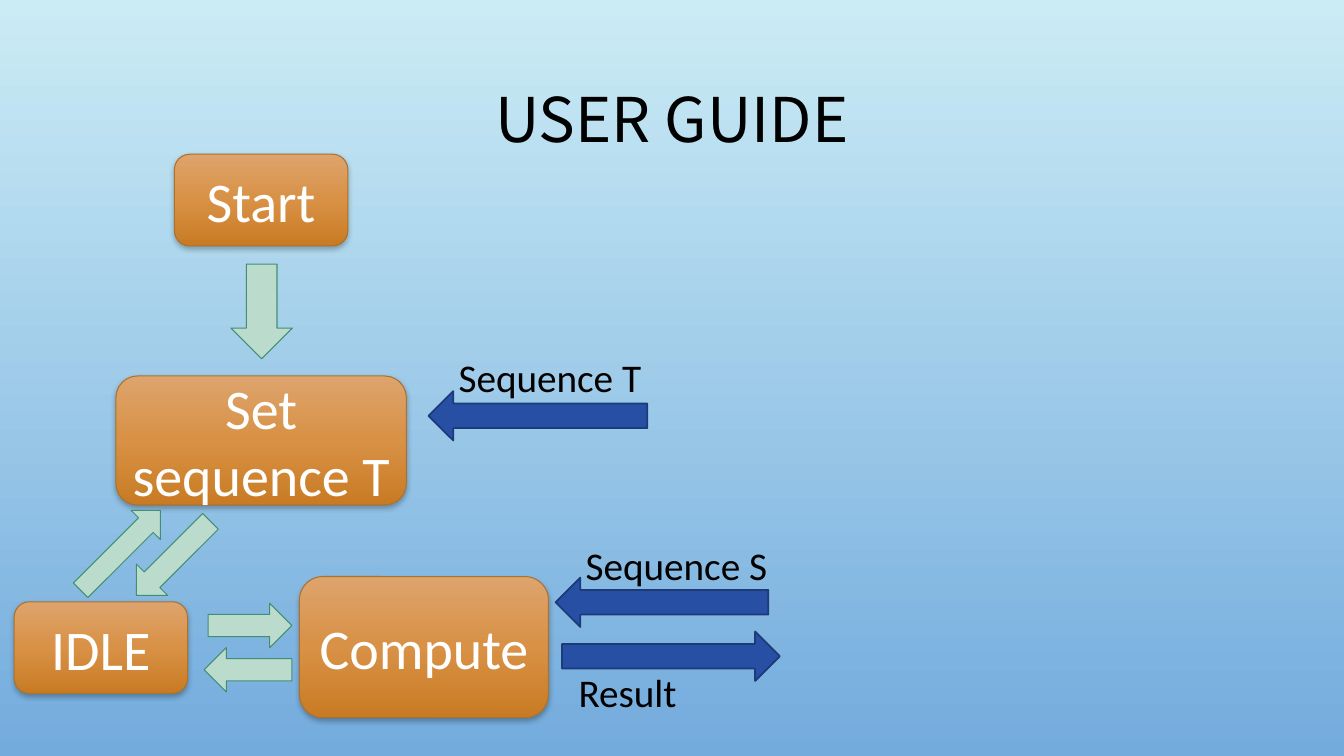
from copy import deepcopy

from lxml import etree
from pptx import Presentation
from pptx import util as u
from pptx.dml.color import RGBColor
from pptx.enum import shapes, text
from pptx.oxml import ns

COLORS = {
    "sky_top": "CBECF5", "sky_bottom": "73ABDD",
    "box_top": "DEA46D", "box_middle": "D89145", "box_bottom": "C87B23", "box_line": "AC712D",
    "step": "BBDBCD", "step_line": "428E73",
    "data": "274FA4", "data_line": "1D3A79",
    "black": "000000", "white": "FFFFFF",
}


def color_stops(fill, stops):
    """Set a top-to-bottom gradient from (position, color name) pairs."""
    fill.gradient_angle = 270
    for stop, (position, name) in zip(fill.gradient_stops, stops):
        stop.position = position
        stop.color.rgb = RGBColor.from_string(COLORS[name])


def write(paragraph, words, size, font, color):
    run = paragraph.add_run()
    run.text = words
    run.font.size = u.Pt(size)
    run.font.name = font
    run.font.color.rgb = RGBColor.from_string(COLORS[color])


presentation = Presentation()
presentation.slide_width = u.Inches(13.33)
presentation.slide_height = u.Inches(7.5)
slide = presentation.slides.add_slide(presentation.slide_layouts[5])

background = slide.background.fill
background.gradient()
color_stops(background, [(0, "sky_top"), (1, "sky_bottom")])

title = slide.shapes.title
title.left, title.top = u.Inches(1), u.Inches(0.68)
title.width, title.height = u.Inches(11.33), u.Inches(1.07)
title.text_frame.vertical_anchor = text.MSO_ANCHOR.MIDDLE
paragraph = title.text_frame.paragraphs[0]
paragraph.alignment = text.PP_ALIGN.CENTER
paragraph.line_spacing = 0.9
write(paragraph, "USER GUIDE", 44, "Noto Sans CJK SC", "black")

# State boxes: label, left, top, width, height
states = [
    ("Start", 1.73, 1.53, 1.72, 0.91),
    ("Set sequence T", 1.15, 3.73, 2.88, 1.28),
    ("IDLE", 0.14, 5.97, 1.72, 0.91),
    ("Compute", 2.97, 5.72, 2.47, 1.4),
]
for label, *box in states:
    shape = slide.shapes.add_shape(shapes.MSO_SHAPE.ROUNDED_RECTANGLE, *map(u.Inches, box))
    shape.fill.gradient()
    properties = shape._element.spPr
    stop_list = properties.find(".//" + ns.qn("a:gsLst"))
    stop_list.insert(1, deepcopy(stop_list[0]))
    color_stops(shape.fill, [(0, "box_top"), (0.5, "box_middle"), (1, "box_bottom")])
    shape.line.color.rgb = RGBColor.from_string(COLORS["box_line"])
    shape.line.width = u.Pt(0.75)

    shape.shadow.inherit = False
    shadow = etree.SubElement(
        properties.find(ns.qn("a:effectLst")), ns.qn("a:outerShdw"),
        blurRad=str(u.Pt(4)), dist=str(u.Pt(2)), dir="5400000", rotWithShape="0")
    shadow_color = etree.SubElement(shadow, ns.qn("a:srgbClr"), val=COLORS["black"])
    etree.SubElement(shadow_color, ns.qn("a:alpha"), val="28000")

    shape.text_frame.word_wrap = True
    shape.text_frame.vertical_anchor = text.MSO_ANCHOR.MIDDLE
    paragraph = shape.text_frame.paragraphs[0]
    paragraph.alignment = text.PP_ALIGN.CENTER
    write(paragraph, label, 40, "Calibri", "white")

# Block arrows: kind, rotation, left, top, width, height
arrows = [
    ("step", 0, 2.29, 2.62, 0.61, 0.94),
    ("step", 45, 1.5, 5.02, 0.44, 1.04),
    ("step", 225, 0.99, 4.9, 0.41, 1.12),
    ("step", 270, 2.26, 5.79, 0.44, 0.83),
    ("step", 90, 2.24, 6.21, 0.44, 0.87),
    ("data", 90, 5.09, 3.04, 0.49, 2.17),
    ("data", 270, 6.41, 5.43, 0.49, 2.16),
    ("data", 90, 6.32, 4.92, 0.49, 2.11),
]
line_widths = {"step": 0.75, "data": 1.25}
for kind, rotation, *box in arrows:
    shape = slide.shapes.add_shape(shapes.MSO_SHAPE.DOWN_ARROW, *map(u.Inches, box))
    shape.rotation = rotation
    shape.shadow.inherit = False
    shape.fill.solid()
    shape.fill.fore_color.rgb = RGBColor.from_string(COLORS[kind])
    shape.line.color.rgb = RGBColor.from_string(COLORS[kind + "_line"])
    shape.line.width = u.Pt(line_widths[kind])

for label, left, top in [("Sequence T", 4.45, 3.46), ("Sequence S", 5.71, 5.32), ("Result", 5.64, 6.58)]:
    shape = slide.shapes.add_textbox(u.Inches(left), u.Inches(top), u.Inches(2.36), u.Inches(0.57))
    shape.text_frame.word_wrap = True
    shape.text_frame.auto_size = text.MSO_AUTO_SIZE.SHAPE_TO_FIT_TEXT
    write(shape.text_frame.paragraphs[0], label, 28, "Calibri", "black")

presentation.save("out.pptx")
